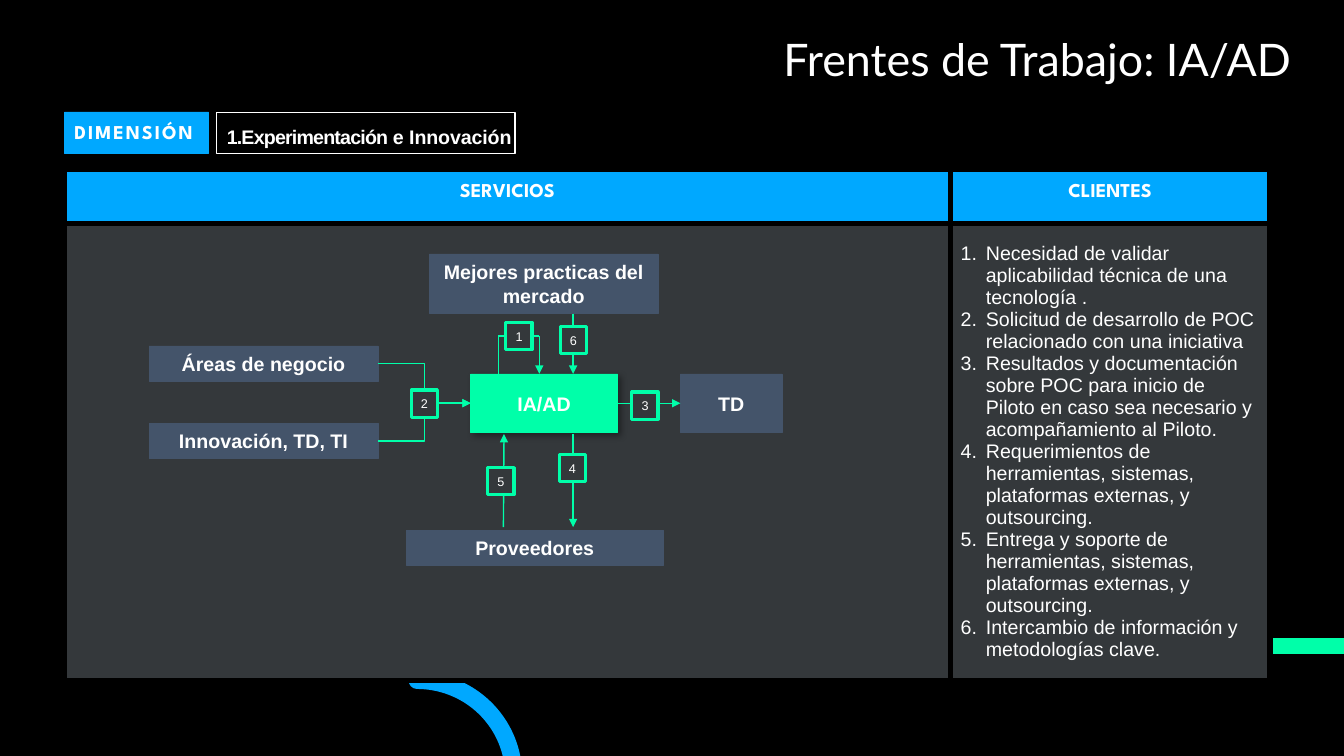
from dataclasses import dataclass

from lxml import etree
from pptx import Presentation
from pptx import util as u
from pptx.dml import color
from pptx.enum import shapes, text
from pptx.oxml import ns, xmlchemy

Pt = u.Pt


@dataclass(frozen=True)
class Theme:
    black: str = "000000"
    white: str = "FFFFFF"
    blue: str = "00A8FF"
    green: str = "00FFA9"
    slate: str = "44546A"
    panel: str = "34383B"
    head: str = "League Spartan"
    body: str = "Arial"
    light: str = "Lato"
    title: int = 32
    base: int = 14
    small: int = 9


T = Theme()
LEFT, MID, RIGHT = text.PP_ALIGN.LEFT, text.PP_ALIGN.CENTER, text.PP_ALIGN.RIGHT
TOP, CORE = text.MSO_ANCHOR.TOP, text.MSO_ANCHOR.MIDDLE


def rgb(code):
    return color.RGBColor.from_string(code)


def node(parent, tag, **attrs):
    return etree.SubElement(parent, ns.qn(tag), attrs)


def write(frame, paras, size=T.base, font=T.body, bold=True, align=LEFT,
          before=0, line=None, left=0, hang=0, number=False):
    frame.word_wrap = True
    for i, runs in enumerate(paras):
        p = frame.paragraphs[0] if i == 0 else frame.add_paragraph()
        p.alignment = align
        p.space_before = Pt(before)
        if line:
            p.line_spacing = Pt(line)
        props = p._p.get_or_add_pPr()
        props.set("marL", str(Pt(left)))
        props.set("indent", str(Pt(-hang)))
        if number:
            node(props, "a:buAutoNum", type="arabicPeriod")
        for words, gap in [(runs, 0)] if isinstance(runs, str) else runs:
            r = p.add_run()
            r.text = words
            r.font.size, r.font.name, r.font.bold = Pt(size), font, bold
            r.font.color.rgb = rgb(T.white)
            if gap:
                r._r.get_or_add_rPr().set("spc", str(round(gap * 100)))


def inset(frame, left, top, right, bottom):
    frame.margin_left, frame.margin_top = Pt(left), Pt(top)
    frame.margin_right, frame.margin_bottom = Pt(right), Pt(bottom)


def box(slide, x, y, w, h, fill=None, edge=None, width=0.25,
        kind=shapes.MSO_SHAPE.RECTANGLE):
    s = slide.shapes.add_shape(kind, Pt(x), Pt(y), Pt(w), Pt(h))
    s.shadow.inherit = False
    if fill:
        s.fill.solid()
        s.fill.fore_color.rgb = rgb(fill)
    else:
        s.fill.background()
    s.line.color.rgb = rgb(edge or fill)
    s.line.width = Pt(width)
    return s


def label(slide, x, y, w, h, words, fill=T.slate, edge=None, width=0.25, **form):
    s = box(slide, x, y, w, h, fill, edge, width)
    inset(s.text_frame, 4.3, 4.3, 4.3, 4.3)
    s.text_frame.vertical_anchor = CORE
    write(s.text_frame, [words], align=MID, **form)
    return s


def link(slide, x1, y1, x2, y2, width=1, tip=False, bent=False):
    kind = shapes.MSO_CONNECTOR.ELBOW if bent else shapes.MSO_CONNECTOR.STRAIGHT
    c = slide.shapes.add_connector(kind, Pt(x1), Pt(y1), Pt(x2), Pt(y2))
    c.line.color.rgb = rgb(T.green)
    c.line.width = Pt(width)
    if tip:
        node(c.line._get_or_add_ln(), "a:tailEnd", type="triangle")
    node(c._element.spPr, "a:effectLst")
    return c


def join(slide, start, end, bent=False):
    c = link(slide, 0, 0, 0, 0, tip=True, bent=bent)
    c.begin_connect(start, 3)
    c.end_connect(end, 1)


def title(slide, x, y, w, h):
    s = slide.shapes.add_textbox(Pt(x), Pt(y), Pt(w), Pt(h))
    write(s.text_frame, ["Frentes de Trabajo: IA/AD"], size=T.title,
          font=T.light, bold=False, align=RIGHT)


def decor(slide, x, y):
    arc = box(slide, x, y, 138, 137, edge=T.blue, width=12.25,
              kind=shapes.MSO_SHAPE.ARC)
    arc.adjustments[0], arc.adjustments[1] = 162, 53.79
    arc.line._get_or_add_ln().set("cap", "rnd")
    link(slide, x + 641.5, y - 24.5, 960, y - 24.5, width=11.5)


def tags(slide, x, y):
    name = box(slide, x, y, 103, 29.5, T.blue)
    topic = box(slide, x + 108.8, y + 0.5, 213, 29, edge=T.white, width=1)
    parts = [("1.Experimentación ", -0.6), ("e ", 0), ("Innovación", -0.1)]
    for s, runs, font, anchor in (
            (name, [("DIMENSIÓN", 1.4)], T.head, TOP),
            (topic, parts, T.body, CORE)):
        inset(s.text_frame, 0, 5.8, 0, 0)
        s.text_frame.vertical_anchor = anchor
        write(s.text_frame, [runs], font=font, before=5.8, left=7.2)


def paint(cell, fill):
    props = cell._tc.get_or_add_tcPr()
    for side in ("a:lnL", "a:lnR", "a:lnT", "a:lnB"):
        ln = node(props, side, w=str(Pt(4.5)))
        node(node(ln, "a:solidFill"), "a:srgbClr", val=T.black)
    cell.fill.solid()
    cell.fill.fore_color.rgb = rgb(fill)


def grid(slide, x, y, cols, rows):
    needs = [
        "Necesidad de validar aplicabilidad técnica de una tecnología .",
        "Solicitud de desarrollo de POC relacionado con una iniciativa",
        "Resultados y documentación sobre POC para inicio de Piloto en caso "
        "sea necesario y acompañamiento al Piloto.",
        "Requerimientos de herramientas, sistemas, plataformas externas, y outsourcing.",
        "Entrega y soporte de herramientas, sistemas, plataformas externas, y outsourcing.",
        "Intercambio de información y metodologías clave.",
    ]
    tab = slide.shapes.add_table(2, 2, Pt(x), Pt(y), Pt(sum(cols)), Pt(sum(rows))).table
    for i, (wide, head) in enumerate(zip(cols, ("SERVICIOS", "CLIENTES"))):
        tab.columns[i].width = Pt(wide)
        tab.rows[i].height = Pt(rows[i])
        cell = tab.cell(0, i)
        inset(cell, 7.2, 6.5, 7.2, 3.6)
        write(cell.text_frame, [head], font=T.head, align=MID, line=16.5)
        paint(cell, T.blue)
        paint(tab.cell(1, i), T.panel)
    cell = tab.cell(1, 1)
    cell.vertical_anchor = CORE
    write(cell.text_frame, needs, bold=False, left=18, hang=18, number=True)


def flow(slide, x, y):
    areas = label(slide, x + 60.6, y + 87, 163.4, 25.2, "Áreas de negocio")
    teams = label(slide, x + 60.6, y + 142.4, 163.4, 25.2, "Innovación, TD, TI")
    hub = label(slide, x + 290.2, y + 107, 105, 42, "IA/AD", T.green)
    glow = node(hub._element.spPr.find(ns.qn("a:effectLst")), "a:outerShdw",
                blurRad=str(Pt(5)), dist=str(Pt(3)), dir="2700000")
    node(node(glow, "a:srgbClr", val=T.black), "a:alpha", val="40000")
    label(slide, x + 260.7, y + 21.4, 163.4, 42.5, "Mejores practicas del mercado")
    label(slide, x + 244.2, y + 218.7, 183.6, 25.2, "Proveedores")
    dest = label(slide, x + 440, y + 107, 72.7, 42, "TD")

    join(slide, areas, hub, bent=True)
    join(slide, teams, hub, bent=True)
    join(slide, hub, dest)
    for x1, y1, x2, y2, tip in (
            (310, 107, 310, 80, False), (310, 80, 339.2, 80, False),
            (339.2, 80, 339.2, 107, True), (363.4, 64, 363.4, 107, True),
            (313.6, 216.6, 314, 150, True), (363.4, 150, 363.4, 216.6, True)):
        link(slide, x + x1, y + y1, x + x2, y + y2, tip=tip)
    spots = ((315.4, 70.4), (247.8, 118.6), (405.4, 120),
             (353.6, 164.7), (302.5, 174), (354.3, 73.3))
    for n, (dx, dy) in enumerate(spots, 1):
        label(slide, x + dx, y + dy, 18.7, 19.4, str(n), T.panel, T.green, 2.25,
              size=T.small, bold=False)


def main():
    deck = Presentation()
    deck.slide_width, deck.slide_height = Pt(960), Pt(540)
    slide = deck.slides.add_slide(deck.slide_layouts[6])
    slide.background.fill.solid()
    slide.background.fill.fore_color.rgb = rgb(T.black)
    title(slide, 187.2, 19.4, 742.3, 46)
    decor(slide, 229, 486)
    tags(slide, 46, 80)
    grid(slide, 46, 121, (633, 228), (38.5, 326))
    flow(slide, 46, 160)
    deck.save("out.pptx")


if __name__ == "__main__":
    main()
